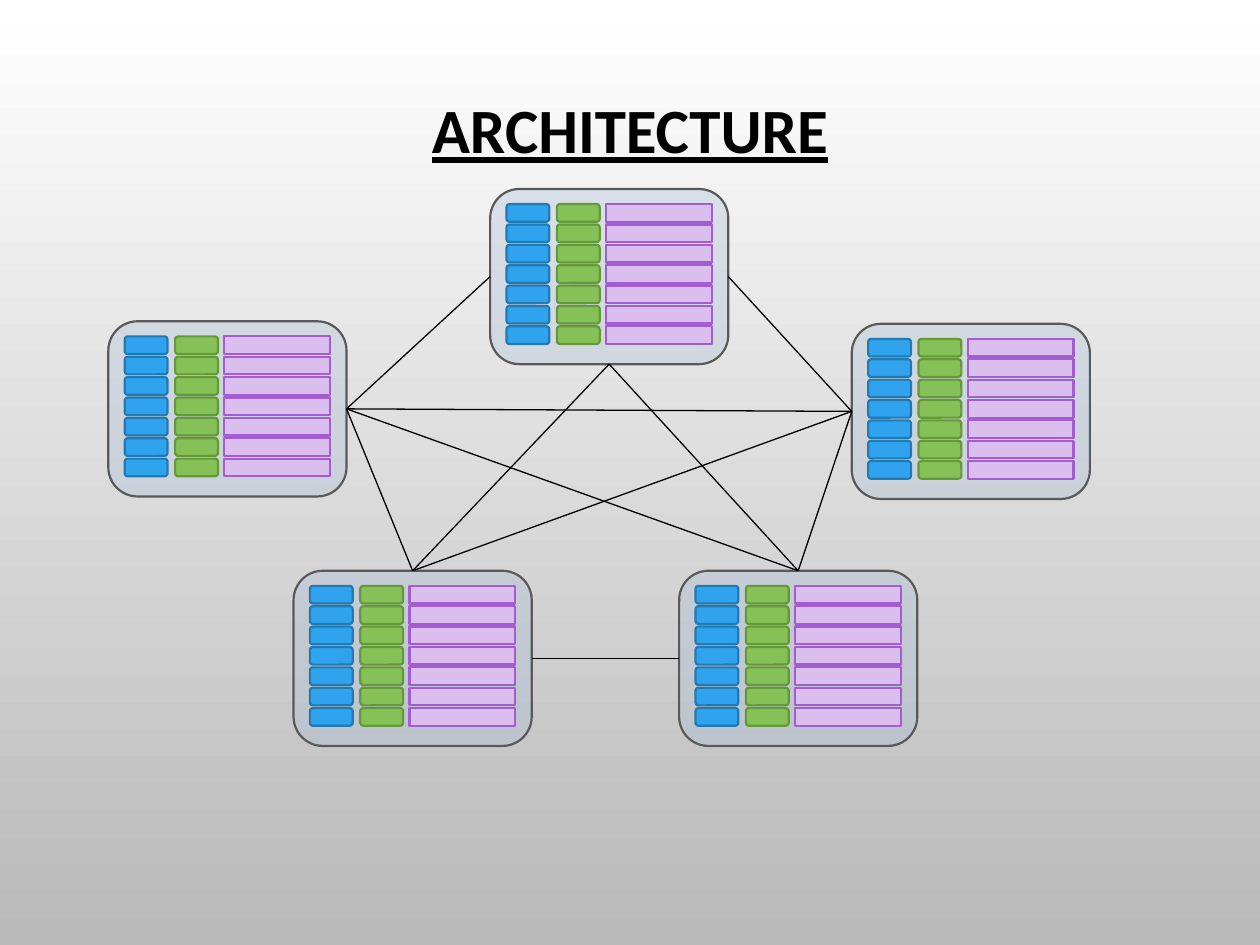
from lxml import etree
from pptx import Presentation
from pptx.dml.color import RGBColor
from pptx.enum.shapes import MSO_CONNECTOR, MSO_SHAPE
from pptx.enum.text import MSO_ANCHOR, PP_ALIGN
from pptx.oxml.ns import qn
from pptx.util import Inches, Pt

ROUNDED, RECT = MSO_SHAPE.ROUNDED_RECTANGLE, MSO_SHAPE.RECTANGLE
STRAIGHT = MSO_CONNECTOR.STRAIGHT
CENTER, MIDDLE = PP_ALIGN.CENTER, MSO_ANCHOR.MIDDLE
TOP, LEFT, BOTTOM, RIGHT = range(4)  # connection sites of a node

BLACK = RGBColor(0x00, 0x00, 0x00)
WHITE = RGBColor(0xFF, 0xFF, 0xFF)
GRAY = RGBColor(0xB9, 0xB9, 0xB9)
NODE_FILL, NODE_LINE = RGBColor(0xAA, 0xBE, 0xD7), RGBColor(0x59, 0x59, 0x59)
BLUE, BLUE_LINE = RGBColor(0x2F, 0xA3, 0xEE), RGBColor(0x23, 0x79, 0xB0)
GREEN, GREEN_LINE = RGBColor(0x86, 0xC1, 0x57), RGBColor(0x64, 0x99, 0x39)
PURPLE, PURPLE_LINE = RGBColor(0xDA, 0xBE, 0xED), RGBColor(0xA3, 0x5D, 0xD1)

# Content: node positions, the columns inside a node, and the links
TITLE = "ARCHITECTURE"
NODES = {
    "west": (0.86, 2.55),
    "southwest": (2.33, 4.53),
    "north": (3.89, 1.5),
    "east": (6.76, 2.57),
    "southeast": (5.39, 4.53),
}
COLUMNS = [  # offset in the node, width, outline, fill, line
    (0.13, 0.34, ROUNDED, BLUE, BLUE_LINE),
    (0.53, 0.34, ROUNDED, GREEN, GREEN_LINE),
    (0.92, 0.84, RECT, PURPLE, PURPLE_LINE),
]
LINKS = [
    ("west", RIGHT, "north", LEFT),
    ("west", RIGHT, "east", LEFT),
    ("east", LEFT, "north", RIGHT),
    ("west", RIGHT, "southwest", TOP),
    ("southeast", TOP, "east", LEFT),
    ("southwest", TOP, "north", BOTTOM),
    ("southeast", TOP, "north", BOTTOM),
    ("southwest", RIGHT, "southeast", LEFT),
    ("west", RIGHT, "southeast", TOP),
    ("southwest", TOP, "east", LEFT),
]
NODE_W, NODE_H = 1.89, 1.39
ROWS, ROW_H, ROWS_TOP = 7, 0.14, 0.12
ROW_PITCH = 0.97 / (ROWS - 1)


def write_text(shape, text, *, size, color, font="Calibri", bold=False,
               underline=False, align=CENTER, spacing=1.0):
    frame = shape.text_frame
    frame.word_wrap = True
    frame.vertical_anchor = MIDDLE
    paragraph = frame.paragraphs[0]
    paragraph.alignment = align
    paragraph.line_spacing = spacing
    run = paragraph.add_run()
    run.text = text
    run.font.name, run.font.size = font, Pt(size)
    run.font.bold, run.font.underline = bold, underline
    run.font.color.rgb = color


def add_box(shapes, outline, x, y, w, h, fill, line):
    box = shapes.add_shape(outline, Inches(x), Inches(y), Inches(w), Inches(h))
    box.shadow.inherit = False
    box.fill.solid()
    box.fill.fore_color.rgb = fill
    box.line.color.rgb = line
    box.line.width = Pt(1.25)
    return box


def add_node(slide, x, y):
    shapes = slide.shapes.add_group_shape().shapes
    panel = add_box(shapes, ROUNDED, x, y, NODE_W, NODE_H, NODE_FILL, NODE_LINE)
    color = panel.fill._xPr.find(qn("a:solidFill"))[0]
    etree.SubElement(color, qn("a:alpha"), val="34000")
    for offset, width, outline, fill, line in COLUMNS:
        for row in range(ROWS):
            add_box(shapes, outline, x + offset, y + ROWS_TOP + row * ROW_PITCH,
                    width, ROW_H, fill, line)
    return panel


def add_link(slide, start, start_site, end, end_site):
    link = slide.shapes.add_connector(STRAIGHT, 0, 0, 0, 0)
    link.begin_connect(start, start_site)
    link.end_connect(end, end_site)
    link.line.color.rgb = BLACK
    link.line.width = Pt(0.75)
    etree.SubElement(link._element.spPr, qn("a:effectLst"))


def main():
    prs = Presentation()
    prs.slide_width, prs.slide_height = Inches(10), Inches(7.5)
    slide = prs.slides.add_slide(prs.slide_layouts[5])

    # Background fading from top to bottom
    backdrop = slide.background.fill
    backdrop.gradient()
    backdrop.gradient_angle = 270
    for stop, color, position in zip(backdrop.gradient_stops, (WHITE, GRAY), (0, 1)):
        stop.color.rgb = color
        stop.position = position

    # Title
    title = slide.shapes.title
    title.left, title.top = Inches(0.75), Inches(0.68)
    title.width, title.height = Inches(8.5), Inches(0.75)
    write_text(title, TITLE, size=36, color=BLACK, bold=True, underline=True,
               spacing=0.9)

    # Nodes and the mesh between them
    panels = {name: add_node(slide, x, y) for name, (x, y) in NODES.items()}
    for start, start_site, end, end_site in LINKS:
        add_link(slide, panels[start], start_site, panels[end], end_site)

    prs.save("out.pptx")


if __name__ == "__main__":
    main()
